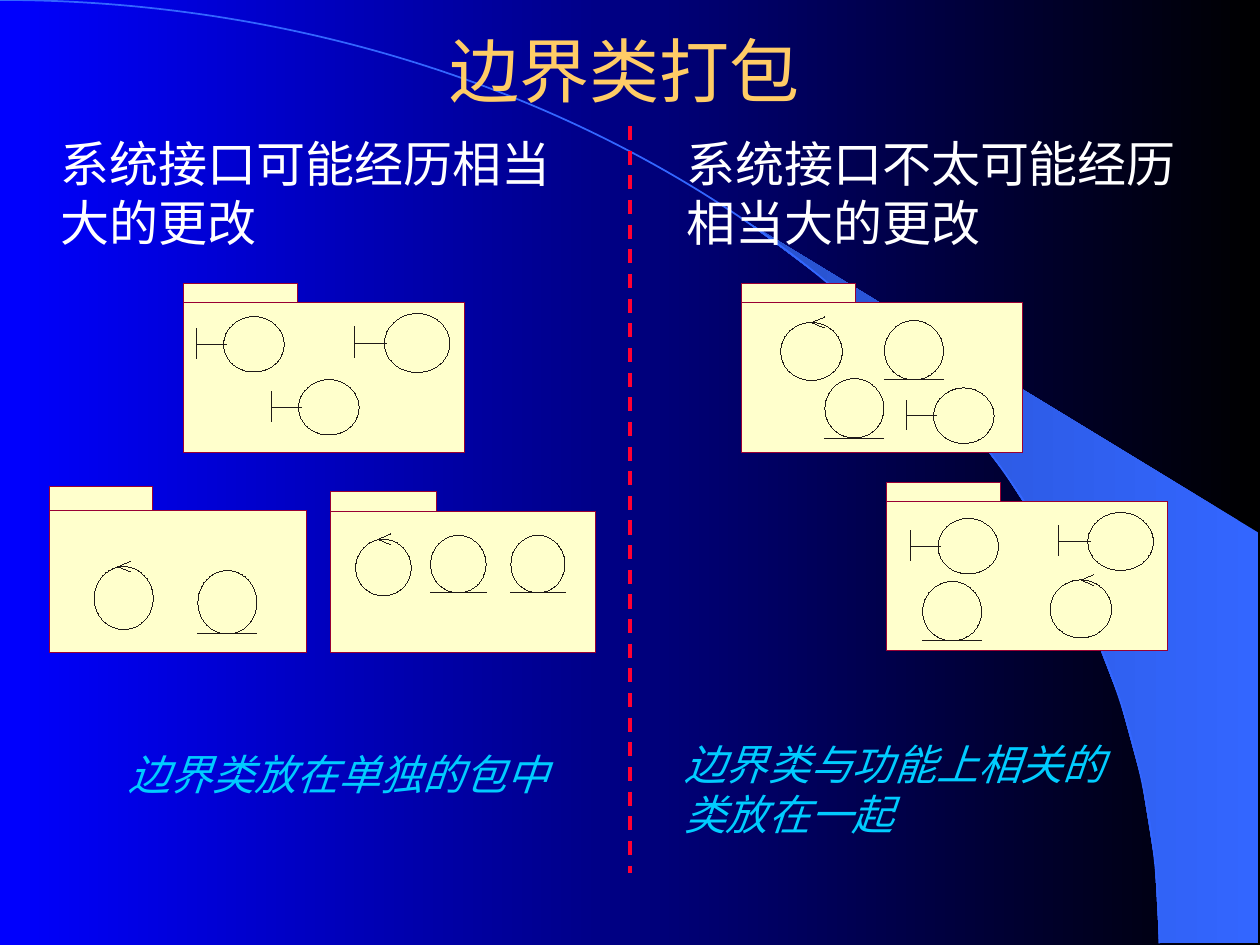
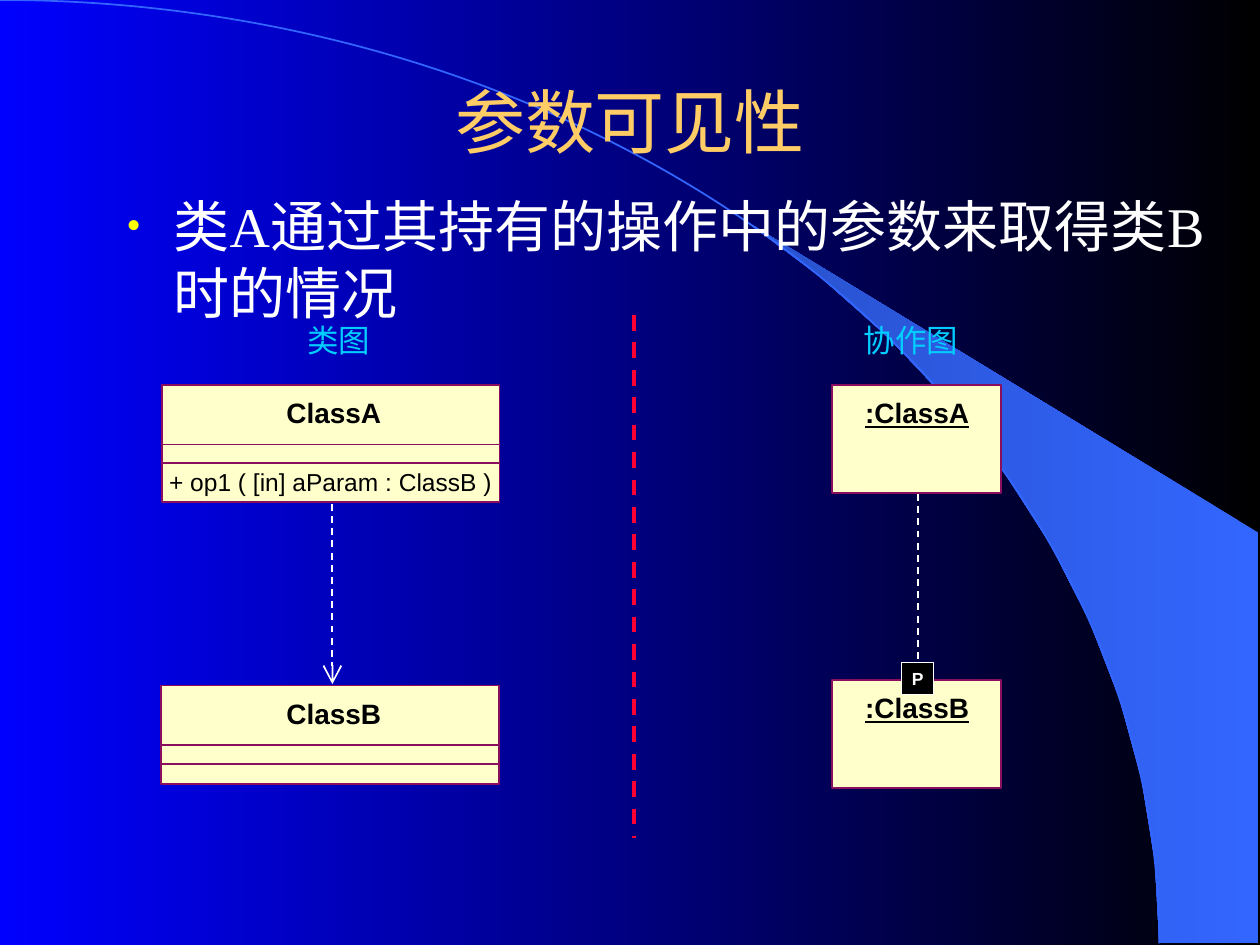
from dataclasses import dataclass
from math import cos, radians, sin

from lxml.etree import SubElement
from pptx import Presentation
from pptx.dml.color import RGBColor as Rgb
from pptx.enum.dml import MSO_LINE as Dash
from pptx.enum.shapes import MSO_CONNECTOR as Link, MSO_SHAPE as Shape
from pptx.enum.text import MSO_ANCHOR as Anchor, PP_ALIGN as Align
from pptx.oxml.ns import qn
from pptx.util import Cm, Pt


@dataclass(frozen=True)
class Theme:
    black: str = "000000"
    blue: str = "0000FF"
    swoosh: str = "3366FF"
    swoosh_dark: str = "2851CC"
    title: str = "FFCC66"
    white: str = "FFFFFF"
    caption: str = "00CCFF"
    bullet: str = "FFFF00"
    paper: str = "FFFFCC"
    package_edge: str = "990033"
    class_edge: str = "8A0E5E"
    ink: str = "1F1A17"
    divider: str = "FF0033"
    font: str = "Arial"
    body_font: str = "Times New Roman"
    title_size: int = 40
    body_size: int = 32
    heading_size: int = 28
    conclusion_size: int = 24
    caption_size: int = 18
    class_size: int = 16
    operation_size: int = 14
    marker_size: int = 10


theme = Theme()
WIDE_INSET = (0.3, 0.15)
INSET = (0.25, 0.13)


def add_box(page, place, text="", size=18, color=theme.white, font=theme.font,
            shape=None, fill=None, edge=None, width=0, align=Align.LEFT,
            anchor=Anchor.TOP, inset=WIDE_INSET, wrap=True,
            bold=False, italic=False, underline=False):
    """Add a text box, or a preset shape when one is named; lengths in cm."""
    place = [Cm(length) for length in place]
    if shape is None:
        box = page.shapes.add_textbox(*place)
    else:
        box = page.shapes.add_shape(shape, *place)
        box.shadow.inherit = False
        # Without the theme style a zero width stays a hairline
        box._element.remove(box._element.find(qn("p:style")))
    if fill:
        box.fill.solid()
        box.fill.fore_color.rgb = Rgb.from_string(fill)
    else:
        box.fill.background()
    if edge:
        box.line.color.rgb = Rgb.from_string(edge)
        box.line.width = Pt(width)
    else:
        box.line.fill.background()
    if text:
        frame = box.text_frame
        frame.word_wrap = wrap
        frame.vertical_anchor = anchor
        frame.margin_left = frame.margin_right = Cm(inset[0])
        frame.margin_top = frame.margin_bottom = Cm(inset[1])
        for number, line in enumerate(text.split("\n")):
            para = frame.add_paragraph() if number else frame.paragraphs[0]
            para.alignment = align
            span = para.add_run()
            span.text = line
            span.font.name = font
            span.font.size = Pt(size)
            span.font.color.rgb = Rgb.from_string(color)
            span.font.bold = bold
            span.font.italic = italic
            span.font.underline = underline
    return box


def add_line(page, start, end, color=theme.ink, width=0, dashed=False, arrow=False):
    """Add a straight connector between two points in cm."""
    line = page.shapes.add_connector(
        Link.STRAIGHT, *[Cm(length) for length in (*start, *end)])
    line._element.remove(line._element.find(qn("p:style")))
    line.line.color.rgb = Rgb.from_string(color)
    line.line.width = Pt(width)
    if dashed:
        line.line.dash_style = Dash.DASH
    properties = line._element.spPr
    if arrow:
        SubElement(properties.find(qn("a:ln")), qn("a:tailEnd"),
                   type="arrow", w="lg", len="lg")
    SubElement(properties, qn("a:effectLst"))


deck = Presentation()
deck.slide_width, deck.slide_height = Cm(25.4), Cm(19.05)

# Shared background gradient
backdrop = deck.slide_master.background.fill
backdrop.gradient()
backdrop.gradient_angle = 180
for stop, color in zip(backdrop.gradient_stops, (theme.black, theme.blue)):
    stop.color.rgb = Rgb.from_string(color)

# The swoosh follows the lower part of the ellipse
RADIUS_X, RADIUS_Y = 23.37, 19.02
swoosh_outline = [(Cm(RADIUS_X * sin(radians(angle))),
                   Cm(RADIUS_Y * (1 - cos(radians(angle)))))
                  for angle in range(40, 91, 5)]
swoosh_outline += [(Cm(25.37), Cm(RADIUS_Y)), (Cm(25.37), Cm(10.74))]

# Shared decoration, title and divider: title, title place, divider x, top, bottom, width
pages = []
for title, title_place, middle, top, bottom, width in (
    ("边界类打包", (1.7, 0.53, 21.79, 1.73), 12.7, 2.54, 17.6, 2),
    ("参数可见性", (1.9, 1.7, 21.6, 1.47), 12.78, 6.35, 16.89, 2.25),
):
    page = deck.slides.add_slide(deck.slide_layouts[6])
    pages.append(page)

    builder = page.shapes.build_freeform(*swoosh_outline[0])
    builder.add_line_segments(swoosh_outline[1:], close=True)
    swoosh = builder.convert_to_shape()
    swoosh.shadow.inherit = False
    swoosh.line.fill.background()
    swoosh.fill.gradient()
    swoosh.fill.gradient_angle = 180
    for stop, color in zip(swoosh.fill.gradient_stops,
                           (theme.swoosh, theme.swoosh_dark)):
        stop.color.rgb = Rgb.from_string(color)

    add_box(page, (-RADIUS_X, 0, 2 * RADIUS_X, 2 * RADIUS_Y), shape=Shape.ARC,
            edge=theme.swoosh, width=1)
    add_box(page, title_place, title, theme.title_size, theme.title,
            align=Align.CENTER, anchor=Anchor.MIDDLE, inset=INSET)
    add_line(page, (middle, top), (middle, bottom), theme.divider, width, dashed=True)

packaging, visibility = pages

# Slide 1: headings and conclusions
for left, text in ((0.93, "系统接口可能经历相当大的更改"),
                   (13.54, "系统接口不太可能经历相当大的更改")):
    add_box(packaging, (left, 2.54, 11, 2.67), text, theme.heading_size)
for place, text in (
    ((2.29, 14.94, 9.07, 1.32), "边界类放在单独的包中"),
    ((13.49, 14.73, 9.07, 2.34), "边界类与功能上相关的\n类放在一起"),
):
    add_box(packaging, place, text, theme.conclusion_size, theme.caption,
            wrap=False, italic=True)

# Packages: tab place, body size, control tip as a share of width, symbols
packages = (
    ((3.7, 5.72, 2.29, 0.38), (5.66, 3.02), 0.4, (
        ("boundary", 7.75, 6.32, 1.32, 1.19),
        ("boundary", 6.02, 7.65, 1.22, 1.12),
        ("boundary", 4.51, 6.38, 1.22, 1.12))),
    ((1, 9.81, 2.08, 0.48), (5.18, 2.87), 0.4, (
        ("control", 1.9, 11.42, 1.19, 1.27),
        ("entity", 3.99, 11.5, 1.19, 1.28))),
    ((6.67, 9.91, 2.13, 0.41), (5.33, 2.84), 0.4, (
        ("control", 7.17, 10.87, 1.12, 1.14),
        ("entity", 10.3, 10.79, 1.09, 1.16),
        ("entity", 8.68, 10.79, 1.12, 1.16))),
    ((14.95, 5.72, 2.29, 0.38), (5.66, 3.02), 0.5, (
        ("control", 15.74, 6.5, 1.24, 1.17),
        ("entity", 17.83, 6.46, 1.19, 1.2),
        ("entity", 16.63, 7.63, 1.19, 1.2),
        ("boundary", 18.82, 7.82, 1.22, 1.12))),
    ((17.88, 9.72, 2.29, 0.39), (5.66, 3.01), 0.5, (
        ("boundary", 21.93, 10.33, 1.32, 1.17),
        ("boundary", 18.91, 10.45, 1.22, 1.12),
        ("entity", 18.6, 11.72, 1.19, 1.2),
        ("control", 21.17, 11.69, 1.24, 1.17))),
)
for tab, body, tip_share, symbols in packages:
    for place in (tab, (tab[0], tab[1] + tab[3], *body)):
        add_box(packaging, place, shape=Shape.RECTANGLE, fill=theme.paper,
                edge=theme.package_edge)
    for kind, left, top, width, height in symbols:
        add_box(packaging, (left, top, width, height), shape=Shape.OVAL,
                fill=theme.paper, edge=theme.ink)
        if kind == "boundary":
            bar, center = left - 0.45 * width, top + height / 2
            add_line(packaging, (bar, top + 0.22 * height), (bar, top + 0.75 * height))
            add_line(packaging, (bar, center), (left + 0.05, center))
        elif kind == "entity":
            add_line(packaging, (left, top + height), (left + width, top + height))
        else:
            tip = left + tip_share * width
            for rise in (-0.11, 0.11):
                add_line(packaging, (tip + 0.26, top + rise), (tip, top))

# Slide 2: bullet
body = add_box(visibility, (2.3, 3.73, 22.25, 11.63),
               "类A通过其持有的操作中的参数来取得类B时的情况",
               theme.body_size, font=theme.body_font, inset=INSET)
bullet = body.text_frame.paragraphs[0]._p.get_or_add_pPr()
bullet.set("marL", str(Cm(0.95)))
bullet.set("indent", str(Cm(-0.95)))
SubElement(SubElement(bullet, qn("a:buClr")), qn("a:srgbClr"), val=theme.bullet)
SubElement(bullet, qn("a:buSzPct"), val="75000")
SubElement(bullet, qn("a:buFont"), typeface=theme.body_font)
SubElement(bullet, qn("a:buChar"), char="•")

# Diagram captions
for left, width, text in ((5.89, 1.88, "类图"), (17.11, 2.51, "协作图")):
    add_box(visibility, (left, 6.32, width, 1.07), text, theme.caption_size,
            theme.caption, wrap=False)

# Class and object boxes: place, label left and width, name, compartment offsets
for place, label_left, label_width, name, offsets in (
    ((3.26, 7.76, 6.81, 2.36), 5.78, 1.9, "ClassA", (1.2, 1.58)),
    ((3.25, 13.82, 6.81, 1.98), 5.78, 1.9, "ClassB", (1.2, 1.58)),
    ((16.78, 7.76, 3.4, 2.18), 17.44, 2.1, ":ClassA", ()),
    ((16.78, 13.71, 3.4, 2.18), 17.44, 2.1, ":ClassB", ()),
):
    left, top, width, height = place
    add_box(visibility, place, shape=Shape.RECTANGLE, fill=theme.paper,
            edge=theme.class_edge, width=1)
    for offset in offsets:
        add_line(visibility, (left, top + offset), (left + width, top + offset),
                 theme.class_edge, 1)
    add_box(visibility, (label_left, top + 0.22, label_width, 0.69), name,
            theme.class_size, theme.black, shape=Shape.RECTANGLE, fill=theme.paper,
            align=Align.CENTER, inset=(0, 0), wrap=False, bold=True,
            underline=name.startswith(":"))
add_box(visibility, (3.16, 9.28, 7.06, 0.84), "+ op1 ( [in] aParam : ClassB )",
        theme.operation_size, theme.black, inset=INSET)

# Dependency, link and parameter marker
add_line(visibility, (6.7, 10.16), (6.7, 13.79), theme.white, 1,
         dashed=True, arrow=True)
add_line(visibility, (18.5, 9.96), (18.5, 14), theme.white, 1, dashed=True)
add_box(visibility, (18.18, 13.36, 0.64, 0.64), "P", theme.marker_size,
        shape=Shape.RECTANGLE, fill=theme.black, edge=theme.white, width=0.75,
        align=Align.CENTER, anchor=Anchor.MIDDLE, inset=(0, 0), bold=True)

deck.save("out.pptx")
